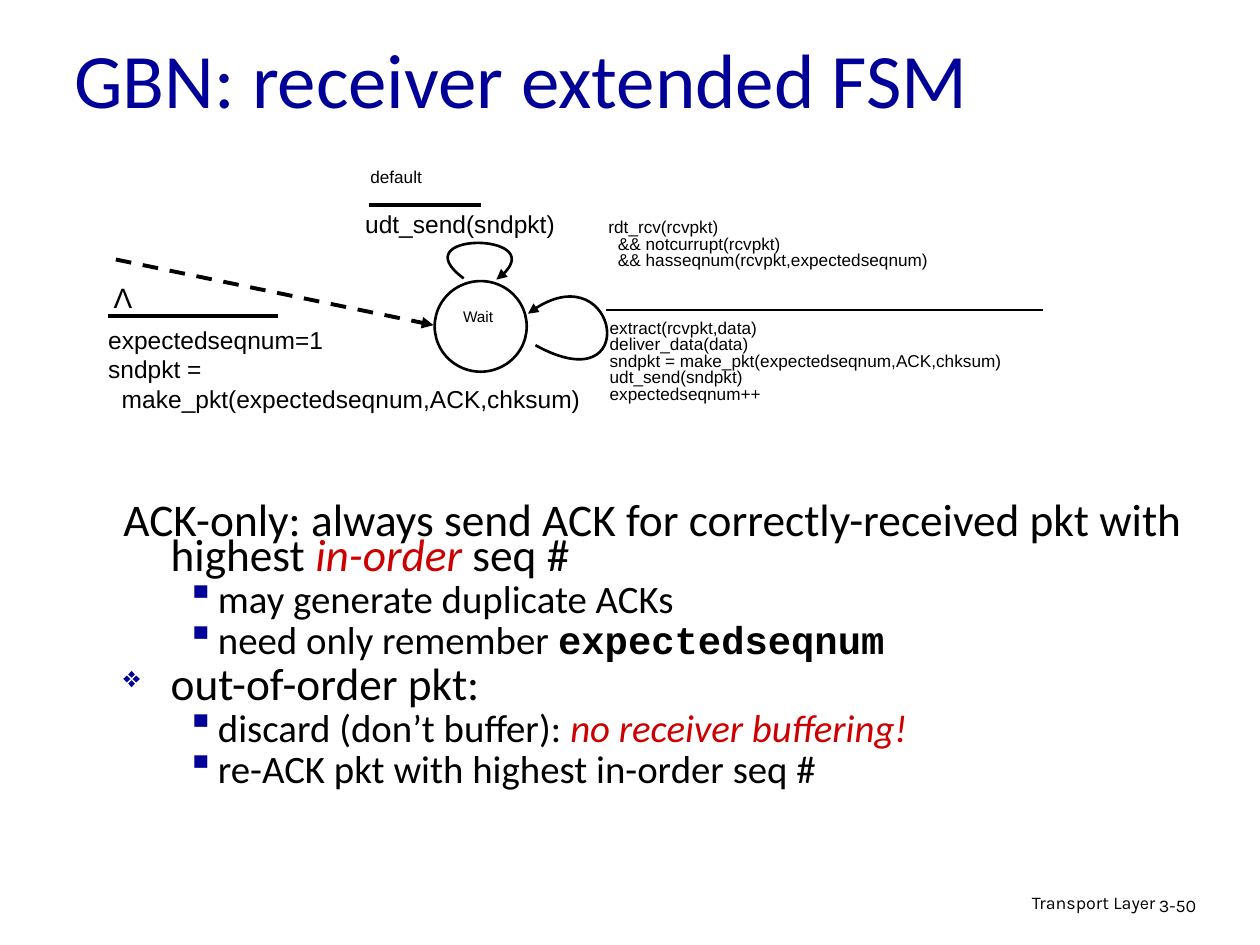
from lxml import etree
from pptx import Presentation
from pptx.dml.color import RGBColor
from pptx.enum.dml import MSO_LINE
from pptx.enum.shapes import MSO_CONNECTOR, MSO_SHAPE
from pptx.enum.text import MSO_ANCHOR, PP_ALIGN
from pptx.oxml.ns import qn
from pptx.util import Pt

LEFT, CENTER, RIGHT = PP_ALIGN.LEFT, PP_ALIGN.CENTER, PP_ALIGN.RIGHT
TOP, MIDDLE = MSO_ANCHOR.TOP, MSO_ANCHOR.MIDDLE
STRAIGHT, OVAL, DASH = MSO_CONNECTOR.STRAIGHT, MSO_SHAPE.OVAL, MSO_LINE.DASH

COLORS = {"black": "000000", "white": "FFFFFF", "navy": "000099", "red": "CC0000"}
EMPHASIS = {"color": "red", "italic": True}
CODE = {"font": "Courier New", "bold": True}
SMALL = {"size": 9.8, "spacing": 0.8}
FOOTER = {"size": 10.2, "font": "Karla", "spacing": 0.9}

# (level, bullet, runs); a run is a text with its own format
BODY = [
    (0, None, [("ACK-only: always send ACK for correctly-received pkt with highest ", {}),
               ("in-order", EMPHASIS), (" seq #", {})]),
    (1, "▪", [("may generate duplicate ACKs", {})]),
    (1, "▪", [("need only remember ", {}), ("expectedseqnum", CODE)]),
    (0, "❖", [("out-of-order pkt:", {})]),
    (1, "▪", [("discard (don’t buffer): ", {}), ("no receiver buffering!", EMPHASIS)]),
    (1, "▪", [("re-ACK pkt with highest in-order seq #", {})]),
]
# size, left margin, hanging indent and space before of each level
LEVELS = [(25.9, 27, 27, 7), (22.2, 54, 18, 6)]


def rgb(name):
    return RGBColor.from_string(COLORS[name])


def add_run(p, text, size, font="Arial", color="black", bold=False, italic=False):
    r = p.add_run()
    r.text = text
    r.font.size, r.font.name = Pt(size), font
    r.font.bold, r.font.italic = bold, italic
    r.font.color.rgb = rgb(color)


def add_box(slide, x, y, w, h, anchor=TOP, wrap=True):
    tf = slide.shapes.add_textbox(Pt(x), Pt(y), Pt(w), Pt(h)).text_frame
    tf.word_wrap = wrap
    tf.vertical_anchor = anchor
    return tf


def add_text(slide, box, text, align=LEFT, spacing=1.0, anchor=TOP, wrap=True, **style):
    """Place text in a box, one paragraph for each line."""
    tf = add_box(slide, *box, anchor=anchor, wrap=wrap)
    for i, line in enumerate(text.split("\n")):
        p = tf.add_paragraph() if i else tf.paragraphs[0]
        p.alignment, p.line_spacing = align, spacing
        add_run(p, line, **style)


def set_bullet(p, char, margin, hanging):
    pPr = p._p.get_or_add_pPr()
    pPr.set("marL", str(Pt(margin)))
    pPr.set("indent", str(-Pt(hanging)))
    if char is None:
        etree.SubElement(pPr, qn("a:buNone"))
        return
    clr = etree.SubElement(pPr, qn("a:buClr"))
    etree.SubElement(clr, qn("a:srgbClr"), val=COLORS["navy"])
    if char == "❖":
        etree.SubElement(pPr, qn("a:buSzPct"), val="65000")
    etree.SubElement(pPr, qn("a:buChar"), char=char)


def add_body(slide, box):
    tf = add_box(slide, *box)
    for i, (level, bullet, runs) in enumerate(BODY):
        size, margin, hanging, before = LEVELS[level]
        p = tf.add_paragraph() if i else tf.paragraphs[0]
        p.level = level
        set_bullet(p, bullet, margin, hanging)
        p.line_spacing = 0.65
        if i:
            p.space_before = Pt(before)
        for text, style in runs:
            add_run(p, text, **{"size": size, "font": "Calibri", **style})


def style_line(line, width, arrow=False):
    line.color.rgb = rgb("black")
    line.width = Pt(width)
    if arrow:
        etree.SubElement(line._get_or_add_ln(), qn("a:tailEnd"), type="triangle")


def add_line(slide, x1, y1, x2, y2, width=2.25, dashed=False, arrow=False):
    c = slide.shapes.add_connector(STRAIGHT, Pt(x1), Pt(y1), Pt(x2), Pt(y2))
    if dashed:
        c.line.dash_style = DASH
    style_line(c.line, width, arrow)
    etree.SubElement(c._element.spPr, qn("a:effectLst"))


def add_loop(slide, start, *points):
    """Draw a cubic curve with an arrowhead: start, two control points, end."""
    builder = slide.shapes.build_freeform(Pt(start[0]), Pt(start[1]))
    builder.add_line_segments([(Pt(x), Pt(y)) for x, y in points], close=False)
    sp = builder.convert_to_shape()
    path = sp._element.find(".//" + qn("a:path"))
    curve = etree.SubElement(path, qn("a:cubicBezTo"))
    for segment in path.findall(qn("a:lnTo")):
        curve.append(segment[0])
        path.remove(segment)
    sp.shadow.inherit = False
    sp.fill.background()
    style_line(sp.line, 1.5, arrow=True)


def add_state(slide, x, y, w, h):
    sp = slide.shapes.add_shape(OVAL, Pt(x), Pt(y), Pt(w), Pt(h))
    sp.shadow.inherit = False
    sp.fill.solid()
    sp.fill.fore_color.rgb = rgb("white")
    style_line(sp.line, 1.5)


def add_fsm(slide):
    add_state(slide, 248.4, 160.6, 52.6, 51.8)
    add_text(slide, (241.9, 174.2, 62.6, 18.7), "Wait", size=8.8, spacing=0.8, align=CENTER)

    # Initial transition
    add_line(slide, 66.2, 148.3, 247.7, 185.8, dashed=True, arrow=True)
    add_text(slide, (57.6, 157, 25.2, 26.6), "Λ", size=16, align=CENTER, wrap=False)
    add_line(slide, 61.9, 180.7, 159.1, 180.7)
    add_text(slide, (54.7, 182.2, 286.6, 77),
             "expectedseqnum=1\nsndpkt =\n  make_pkt(expectedseqnum,ACK,chksum)", size=14)

    # Default transition
    add_text(slide, (204.5, 93.6, 56.9, 19.4), "default", **SMALL)
    add_line(slide, 211, 117.4, 275, 117.4)
    add_text(slide, (201.6, 115.9, 127.4, 24.5), "udt_send(sndpkt)", size=14)
    add_loop(slide, (265, 159.1), (229, 132.5), (320.4, 132.5), (283.7, 159.8))

    # In-order packet transition
    add_loop(slide, (306, 197.3), (367.2, 231.1), (352.8, 140.4), (301.7, 179.3))
    add_text(slide, (340.6, 122.4, 280.8, 44.6),
             "rdt_rcv(rcvpkt)\n  && notcurrupt(rcvpkt)\n"
             "  && hasseqnum(rcvpkt,expectedseqnum)", **SMALL)
    add_line(slide, 346.3, 177.1, 596.2, 177.1, width=1.5)
    add_text(slide, (341.3, 180, 339.8, 67.7),
             "extract(rcvpkt,data)\ndeliver_data(data)\n"
             "sndpkt = make_pkt(expectedseqnum,ACK,chksum)\n"
             "udt_send(sndpkt)\nexpectedseqnum++", **SMALL)


def main():
    prs = Presentation()
    prs.slide_width, prs.slide_height = Pt(720), Pt(540)
    slide = prs.slides.add_slide(prs.slide_layouts[6])
    add_text(slide, (439.2, 507.6, 228.2, 22.3), "Transport Layer", align=RIGHT, **FOOTER)
    add_text(slide, (655.2, 509, 53.3, 21.6), "3-50", **FOOTER)
    add_body(slide, (63.4, 286.6, 641.5, 224.6))
    add_fsm(slide)
    add_text(slide, (35.3, 16.6, 612, 55.4), "GBN: receiver extended FSM",
             size=44, font="Calibri", color="navy", anchor=MIDDLE)
    prs.save("out.pptx")


if __name__ == "__main__":
    main()
